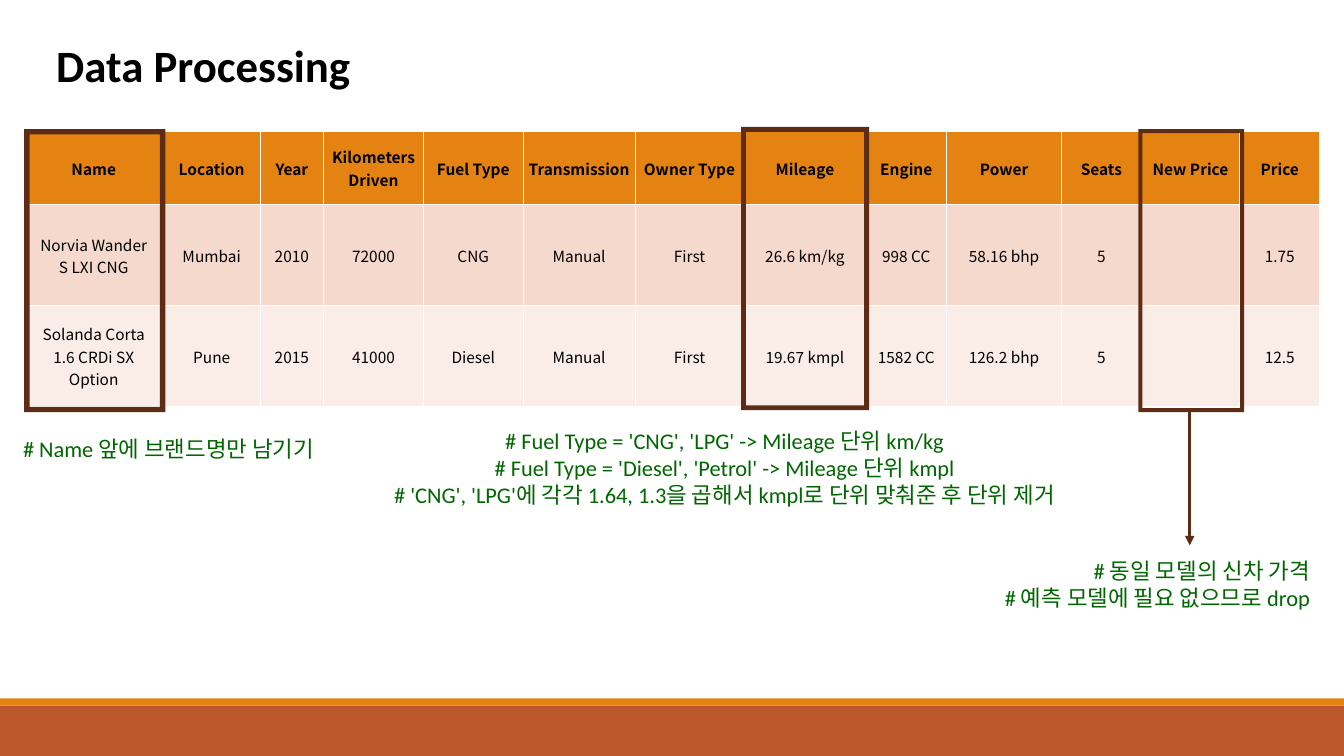
from lxml import etree
from pptx import Presentation
from pptx.dml.color import RGBColor
from pptx.enum.shapes import MSO_CONNECTOR, MSO_SHAPE
from pptx.enum.text import MSO_ANCHOR, PP_ALIGN
from pptx.oxml.ns import qn
from pptx.util import Inches, Pt

LEFT, CENTER, RIGHT = PP_ALIGN.LEFT, PP_ALIGN.CENTER, PP_ALIGN.RIGHT
MIDDLE = MSO_ANCHOR.MIDDLE
RECT, FRAME = MSO_SHAPE.RECTANGLE, MSO_SHAPE.FRAME
STRAIGHT = MSO_CONNECTOR.STRAIGHT

COLORS = {
    "orange": "E48312",
    "rust": "BD582C",
    "brown": "5E2C16",
    "green": "006600",
    "black": "000000",
    "odd": "F5D9CC",
    "even": "FAEDE7",
}
WIDTHS = [1.38, 0.96, 0.63, 0.99, 0.99, 1.11, 1.08, 1.21, 0.8, 1.14, 0.79, 0.98, 0.79]
HEIGHTS = [0.73, 1, 1]
CARS = [
    ["Name", "Location", "Year", "Kilometers\nDriven", "Fuel Type", "Transmission",
     "Owner Type", "Mileage", "Engine", "Power", "Seats", "New Price", "Price"],
    ["Norvia Wander\nS LXI CNG", "Mumbai", "2010", "72000", "CNG", "Manual",
     "First", "26.6 km/kg", "998 CC", "58.16 bhp", "5", "", "1.75"],
    ["Solanda Corta\n1.6 CRDi SX\nOption", "Pune", "2015", "41000", "Diesel", "Manual",
     "First", "19.67 kmpl", "1582 CC", "126.2 bhp", "5", "", "12.5"],
]
NOTES = [
    (3.39, 4.19, 7.59, 0.91, CENTER,
     "# Fuel Type = 'CNG', 'LPG' -> Mileage 단위 km/kg\n"
     "# Fuel Type = 'Diesel', 'Petrol' -> Mileage 단위 kmpl\n"
     "# 'CNG', 'LPG'에 각각 1.64, 1.3을 곱해서 kmpl로 단위 맞춰준 후 단위 제거"),
    (9.32, 5.48, 3.77, 0.64, RIGHT,
     "# 동일 모델의 신차 가격\n# 예측 모델에 필요 없으므로 drop"),
    (0.13, 4.27, 3.41, 0.38, LEFT, "# Name 앞에 브랜드명만 남기기"),
]
FRAMES = [(7.35, 1.26, 1.27), (11.29, 1.28, 1.05), (0.24, 1.28, 1.4)]


class SlideBuilder:
    """Draws styled elements on one slide."""

    def __init__(self, slide, font="Calibri", table_font="Noto Sans CJK KR"):
        self.s = slide
        self.font = font
        self.table_font = table_font

    def color(self, name):
        return RGBColor.from_string(COLORS[name])

    def fill_text(self, tf, text, size, color, font, align=LEFT, bold=False):
        tf.text = text
        for p in tf.paragraphs:
            p.alignment = align
            p.font.name = font
            p.font.size = Pt(size)
            p.font.bold = bold
            p.font.color.rgb = self.color(color)

    def text(self, x, y, w, h, text, size, color, align=LEFT, bold=False):
        box = self.s.shapes.add_textbox(Inches(x), Inches(y), Inches(w), Inches(h))
        box.text_frame.word_wrap = True
        self.fill_text(box.text_frame, text, size, color, self.font, align, bold)

    def shape(self, kind, x, y, w, h, color):
        sp = self.s.shapes.add_shape(kind, Inches(x), Inches(y), Inches(w), Inches(h))
        sp.fill.solid()
        sp.fill.fore_color.rgb = self.color(color)
        sp.line.fill.background()
        sp.shadow.inherit = False
        return sp

    def frame(self, x, y, w, h):
        self.shape(FRAME, x, y, w, h, "brown").adjustments[0] = 0.038

    def arrow(self, x1, y1, x2, y2):
        cxn = self.s.shapes.add_connector(
            STRAIGHT, Inches(x1), Inches(y1), Inches(x2), Inches(y2))
        cxn.line.color.rgb = self.color("brown")
        cxn.line.width = Pt(2.25)
        sp_pr = cxn._element.spPr
        etree.SubElement(sp_pr.find(qn("a:ln")), qn("a:tailEnd"), type="triangle")
        etree.SubElement(sp_pr, qn("a:effectLst"))

    def table(self, x, y, widths, heights, rows):
        table = self.s.shapes.add_table(
            len(rows), len(widths), Inches(x), Inches(y),
            Inches(sum(widths)), Inches(sum(heights))).table
        for col, width in zip(table.columns, widths):
            col.width = Inches(width)
        for row, height, values, fill in zip(
                table.rows, heights, rows, ("orange", "odd", "even")):
            row.height = Inches(height)
            for cell, value in zip(row.cells, values):
                cell.fill.solid()
                cell.fill.fore_color.rgb = self.color(fill)
                cell.vertical_anchor = MIDDLE
                cell.margin_left = cell.margin_right = cell.margin_top = Inches(0.01)
                cell.margin_bottom = 0
                self.fill_text(cell.text_frame, value, 11, "black", self.table_font,
                               CENTER, fill == "orange")


def main():
    prs = Presentation()
    prs.slide_width, prs.slide_height = Inches(13.33), Inches(7.5)
    b = SlideBuilder(prs.slides.add_slide(prs.slide_layouts[6]))
    b.shape(RECT, 0, 7, 13.33, 0.5, "rust")
    b.shape(RECT, 0, 6.93, 13.33, 0.07, "orange")
    b.text(0.46, 0.33, 6.57, 0.64, "Data Processing", 32, "black", bold=True)
    b.table(0.24, 1.3, WIDTHS, HEIGHTS, CARS)
    for x, y, w, h, align, note in NOTES:
        b.text(x, y, w, h, note, 16, "green", align)
    for x, y, w in FRAMES:
        b.frame(x, y, w, 2.81)
    b.arrow(11.8, 4.07, 11.8, 5.41)
    prs.save("out.pptx")


if __name__ == "__main__":
    main()
